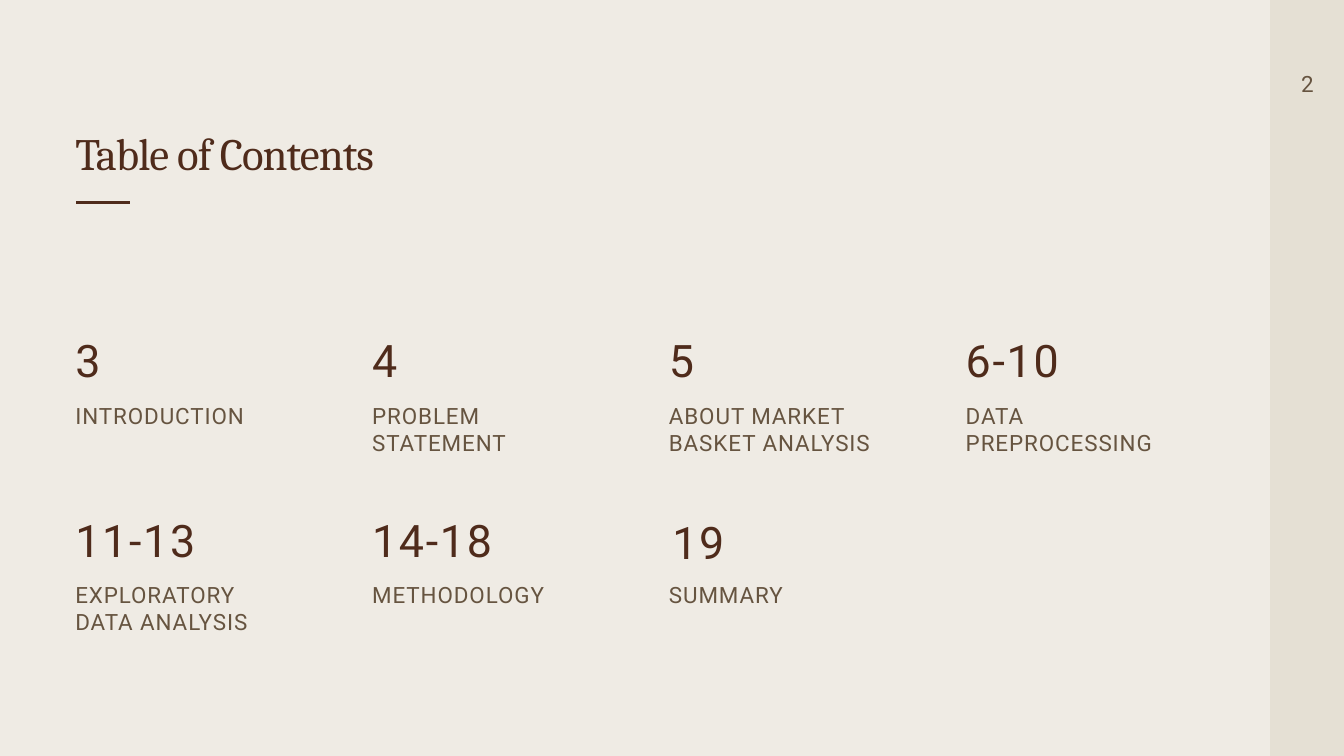
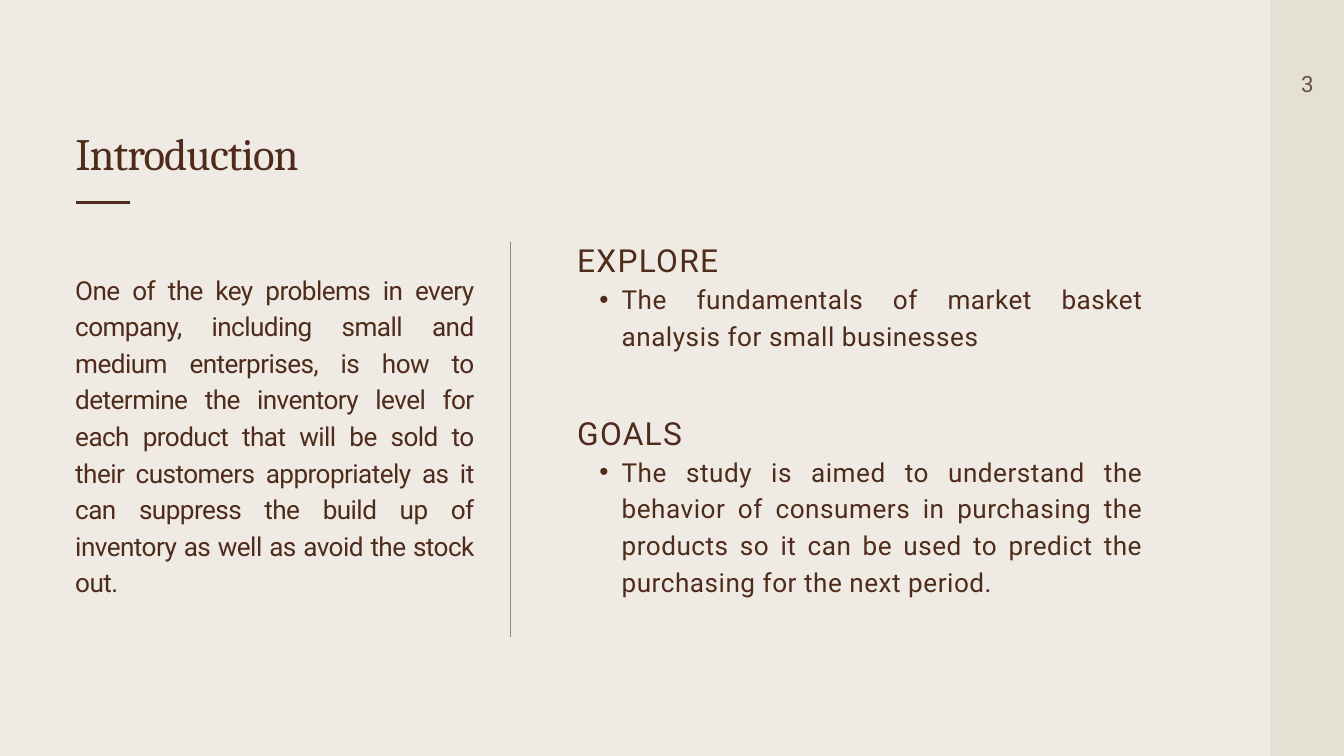
import dataclasses
import typing

import lxml.etree
import pptx
import pptx.dml.color
import pptx.enum.shapes
import pptx.enum.text
import pptx.oxml.ns
import pptx.slide
import pptx.util

Inches = pptx.util.Inches
Pt = pptx.util.Pt
Align = pptx.enum.text.PP_ALIGN

# Shared colours and sizes
PAPER, BAND, DARK, SOFT, RULE = "EFEBE4", "E5E0D4", "4F2B1B", "665440", "9F8468"
WIDE, HIGH = 20, 11.25
LEFT = 1.12


@dataclasses.dataclass(frozen=True)
class Style:
    size: float
    lead: float
    space: float
    color: str = DARK
    font: str = "Roboto"
    align: typing.Optional[Align] = None
    bullet: bool = False


TITLE = Style(48, 48, -1, font="Cambria")
PAGE = Style(24, 24, 1, SOFT, align=Align.CENTER)
NUMBER = Style(48, 48, 1.9)
LABEL = Style(24, 28.8, 1, SOFT)
BODY = Style(28, 39.2, -0.6, align=Align.JUSTIFY)
HEAD = Style(34, 34, 1.4)
POINT = Style(28, 39.2, 0.6, align=Align.JUSTIFY, bullet=True)


class Entry(typing.NamedTuple):
    pages: str
    label: str
    width: float = 2.79
    lines: int = 1
    shift: typing.Tuple[float, float] = (0, 0)


class Topic(typing.NamedTuple):
    head: str
    point: str
    top: float
    height: float


ENTRIES = [
    Entry("3", "INTRODUCTION"),
    Entry("4", "PROBLEM STATEMENT", lines=2),
    Entry("5", "ABOUT MARKET BASKET ANALYSIS", 3.04, 2),
    Entry("6-10", "DATA PREPROCESSING", 3.52, 2),
    Entry("11-13", "EXPLORATORY DATA ANALYSIS", lines=2),
    Entry("14-18", "METHODOLOGY"),
    Entry("19", "SUMMARY", 3.52, shift=(0.05, 0.03)),
]
INTRO = (
    "One of the key problems in every company, including small and medium "
    "enterprises, is how to determine the inventory level for each product "
    "that will be sold to their customers appropriately as it can suppress "
    "the build up of inventory as well as avoid the stock out."
)
TOPICS = [
    Topic("EXPLORE", "The fundamentals of market basket analysis for small "
          "businesses", 3.68, 1.07),
    Topic("GOALS", "The study is aimed to understand the behavior of consumers "
          "in purchasing the products so it can be used to predict the "
          "purchasing for the next period.", 6.25, 2.15),
]


def color(code: str) -> pptx.dml.color.RGBColor:
    return pptx.dml.color.RGBColor.from_string(code)


def apply(target: typing.Any, values: typing.Dict[str, typing.Any]) -> None:
    for name, value in values.items():
        setattr(target, name, value)


def add_text(slide: pptx.slide.Slide, text: str, style: Style, left: float,
             top: float, width: float, height: float) -> None:
    box = slide.shapes.add_textbox(*map(Inches, (left, top, width, height)))
    frame = box.text_frame
    apply(frame, {
        "margin_left": 0, "margin_right": 0, "margin_top": 0,
        "margin_bottom": 0, "word_wrap": True,
        "auto_size": pptx.enum.text.MSO_AUTO_SIZE.SHAPE_TO_FIT_TEXT,
    })
    para = frame.paragraphs[0]
    apply(para, {"alignment": style.align, "line_spacing": Pt(style.lead)})
    run = para.add_run()
    run.text = text
    apply(run.font, {"size": Pt(style.size), "name": style.font})
    run.font.color.rgb = color(style.color)
    run.font._element.set("spc", str(round(style.space * 100)))
    if style.bullet:
        para.level = 1
        props = para._p.get_or_add_pPr()
        props.set("marL", str(Inches(0.66)))
        props.set("indent", str(Inches(-0.33)))
        for tag, key, value in (("a:buFont", "typeface", "Arial"),
                                ("a:buChar", "char", "•")):
            lxml.etree.SubElement(props, pptx.oxml.ns.qn(tag)).set(key, value)


def add_line(slide: pptx.slide.Slide, start: typing.Tuple[float, float],
             end: typing.Tuple[float, float], code: str, width: float) -> None:
    line = slide.shapes.add_connector(
        pptx.enum.shapes.MSO_CONNECTOR.STRAIGHT, *map(Inches, start + end))
    line.line.color.rgb = color(code)
    line.line.width = Pt(width)
    lxml.etree.SubElement(line._element.spPr, pptx.oxml.ns.qn("a:effectLst"))


def add_page(deck: typing.Any, title: str, page: int) -> pptx.slide.Slide:
    """Add a slide with side band, page number, title and underline."""
    slide = deck.slides.add_slide(deck.slide_layouts[6])
    fill = slide.background.fill
    fill.solid()
    fill.fore_color.rgb = color(PAPER)
    band = slide.shapes.add_shape(
        pptx.enum.shapes.MSO_SHAPE.RECTANGLE,
        *map(Inches, (18.9, 0, WIDE - 18.9, HIGH)))
    band.shadow.inherit = False
    band.fill.solid()
    band.fill.fore_color.rgb = color(BAND)
    band.line.fill.background()
    add_line(slide, (1.93, 3.01), (1.13, 3.01), DARK, 3)
    add_text(slide, title, TITLE, LEFT, 2, 6.48, 0.71)
    add_text(slide, str(page), PAGE, 19.01, 1.11, 0.89, 0.36)
    return slide


def add_contents(deck: typing.Any) -> None:
    slide = add_page(deck, "Table of Contents", 2)
    # Grid of four columns
    for index, entry in enumerate(ENTRIES):
        row, col = divmod(index, 4)
        left, top = LEFT + col * 4.417, 5.09 + row * 2.67
        right, down = entry.shift
        add_text(slide, entry.pages, NUMBER, left + right, top + down, 2.79, 0.71)
        add_text(slide, entry.label, LABEL, left, top + 0.89,
                 entry.width, entry.lines * 0.4)


def add_intro(deck: typing.Any) -> None:
    slide = add_page(deck, "Introduction", 3)
    add_text(slide, INTRO, BODY, LEFT, 4, 5.93, 4.86)
    # Divider and topics
    add_line(slide, (7.6, 3.6), (7.6, 9.48), RULE, 0.75)
    for topic in TOPICS:
        add_text(slide, topic.point, POINT, 8.59, topic.top + 0.46,
                 8.42, topic.height)
        add_text(slide, topic.head, HEAD, 8.59, topic.top, 3.36, 0.49)


def main() -> None:
    deck = pptx.Presentation()
    apply(deck, {"slide_width": Inches(WIDE), "slide_height": Inches(HIGH)})
    add_contents(deck)
    add_intro(deck)
    deck.save("out.pptx")


if __name__ == "__main__":
    main()
